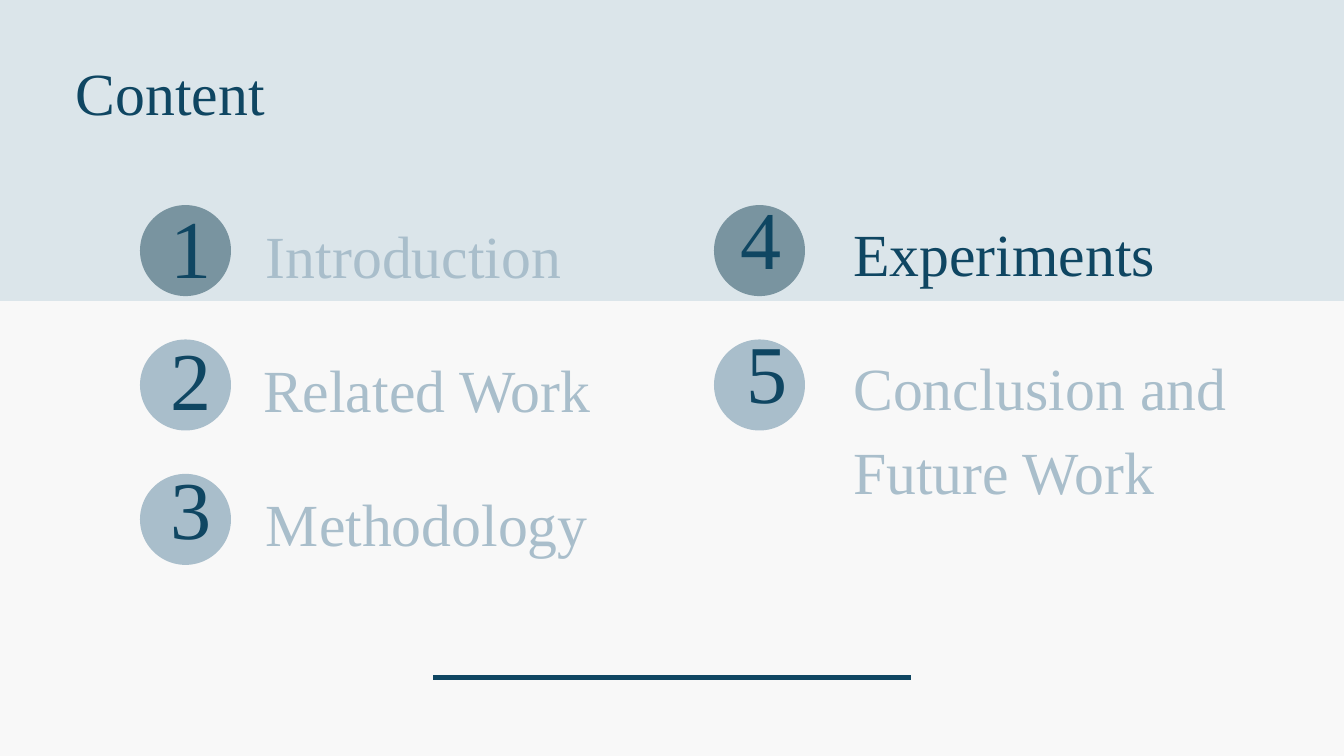
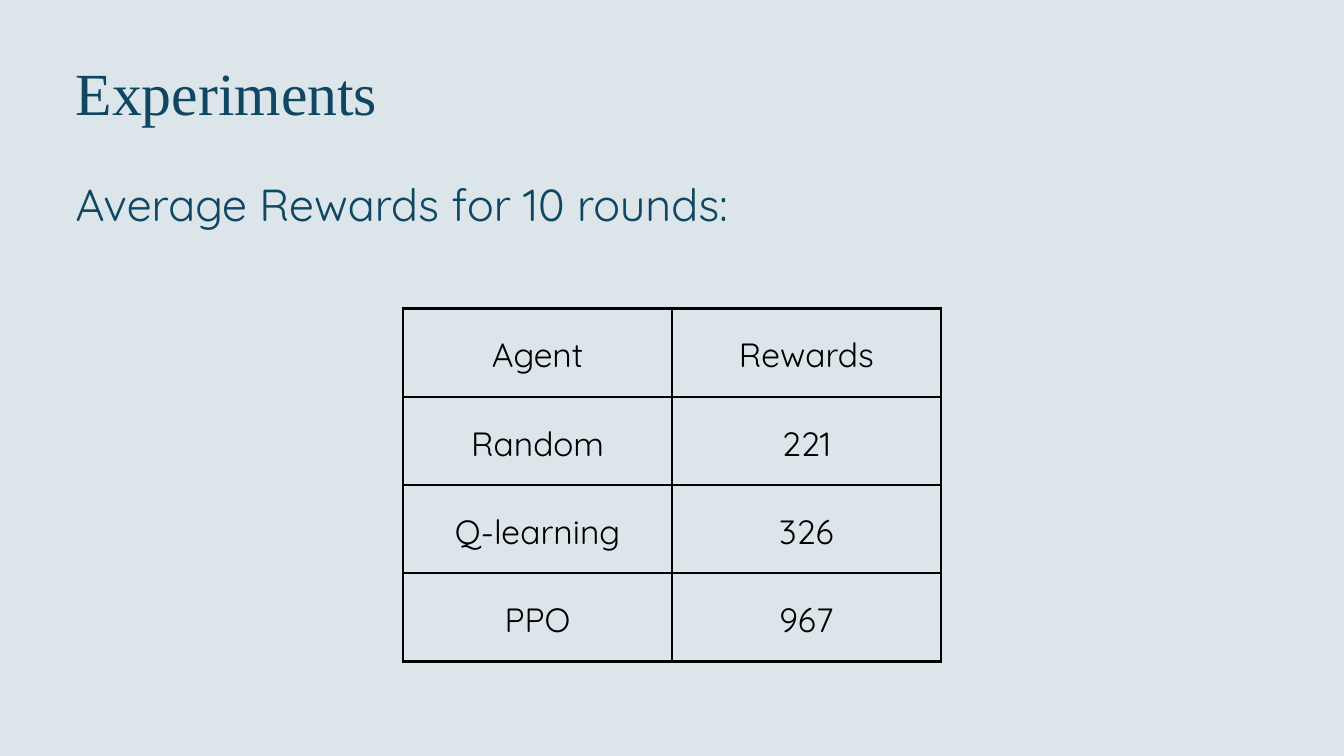
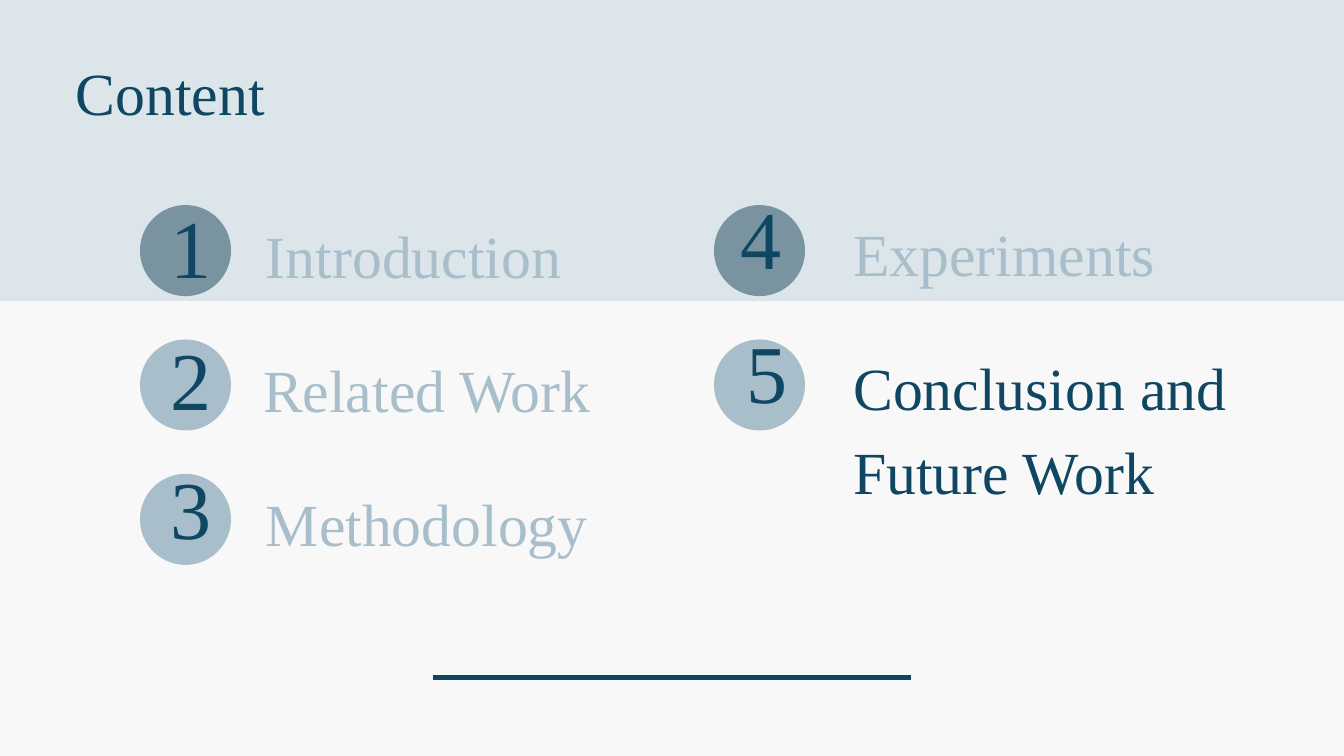
"""Build two agenda slides and a results table slide."""
import lxml.etree
import pptx
import pptx.dml.color
import pptx.enum.shapes
import pptx.enum.text
import pptx.oxml.ns
import pptx.util

RGB = pptx.dml.color.RGBColor
NAVY = RGB(0x0F, 0x46, 0x62)
MIST = RGB(0xDB, 0xE5, 0xEA)
PAPER = RGB(0xF8, 0xF8, 0xF8)
STEEL = RGB(0x79, 0x94, 0xA0)
HAZE = RGB(0xA9, 0xBE, 0xCB)
BLACK = RGB(0, 0, 0)
SERIF, SANS = "Times New Roman", "Quicksand"

# label, column, row, digit (x, y), label (x, width, height)
TOPICS = [
    ("Introduction", 0, 0, (244, 257), (380, 495, 114)),
    ("Related Work", 0, 1, (244, 445), (376, 495, 114)),
    ("Methodology", 0, 2, (244, 630), (380, 495, 114)),
    ("Experiments", 1, 0, (1058, 244), (1219, 495, 114)),
    ("Conclusion and Future Work", 1, 1, (1067, 435), (1219, 584, 233)),
]
REWARDS = [
    ("Agent", "Rewards"),
    ("Random", "221"),
    ("Q-learning", "326"),
    ("PPO", "967"),
]

WIDE, HIGH = 1920, 1080
LEFT = 108
BAND = 430
DISC = 130
DISC_X = (200, 1020)
DISC_Y, STEP = 293, 192
LABEL_DY = (2, -1)
RULE_X, RULE_Y = (619, 1301), 968
GRID = (576, 441, 768, 504)
PAD = 20


def px(*sizes):
    return [pptx.util.Emu(size * 9525) for size in sizes]


def write(frame, text, size=64, font=SERIF, color=NAVY, align="LEFT"):
    para = frame.paragraphs[0]
    para.text = text
    para.alignment = getattr(pptx.enum.text.PP_ALIGN, align)
    para.line_spacing = pptx.util.Pt(round(size * 1.4, 1))
    style = para.runs[0].font
    style.name, style.size = font, pptx.util.Pt(size)
    style.color.rgb = color


def fit(frame):
    frame.margin_left = frame.margin_right = 0
    frame.margin_top = frame.margin_bottom = 0
    frame.word_wrap = True
    frame.auto_size = pptx.enum.text.MSO_AUTO_SIZE.SHAPE_TO_FIT_TEXT
    frame.vertical_anchor = pptx.enum.text.MSO_ANCHOR.TOP


def label(slide, box, text, **look):
    frame = slide.shapes.add_textbox(*px(*box)).text_frame
    fit(frame)
    write(frame, text, **look)


def shape(slide, kind, box, color):
    part = slide.shapes.add_shape(
        getattr(pptx.enum.shapes.MSO_SHAPE, kind), *px(*box))
    part.shadow.inherit = False
    part.fill.solid()
    part.fill.fore_color.rgb = color
    part.line.fill.background()


def start(deck, color):
    slide = deck.slides.add_slide(deck.slide_layouts[5])
    slide.background.fill.solid()
    slide.background.fill.fore_color.rgb = color
    return slide


def head(slide, text):
    title = slide.shapes.title
    title.left, title.top, title.width, title.height = px(LEFT, 63, 1041, 114)
    fit(title.text_frame)
    write(title.text_frame, text)
    slide.shapes.element.append(title.element)


def rule(slide):
    line = slide.shapes.add_connector(
        pptx.enum.shapes.MSO_CONNECTOR.STRAIGHT,
        *px(RULE_X[0], RULE_Y, RULE_X[1], RULE_Y))
    line.line.color.rgb = NAVY
    line.line.width = pptx.util.Pt(6)
    lxml.etree.SubElement(line.element.spPr, pptx.oxml.ns.qn("a:effectLst"))


def agenda(deck, active):
    slide = start(deck, PAPER)
    shape(slide, "RECTANGLE", (0, 0, WIDE, BAND), MIST)
    head(slide, "Content")
    rule(slide)
    for number, topic in enumerate(TOPICS, 1):
        text, col, row, digit, (left, width, height) = topic
        top = DISC_Y + row * STEP
        shape(slide, "OVAL", (DISC_X[col], top, DISC, DISC),
              HAZE if row else STEEL)
        label(slide, (*digit, 67, 157), str(number), size=88)
        label(slide, (left, top + LABEL_DY[col], width, height), text,
              color=NAVY if text == active else HAZE)


def border(cell):
    props = cell._tc.get_or_add_tcPr()
    qn = pptx.oxml.ns.qn
    for side in "LRTB":
        line = lxml.etree.SubElement(
            props, qn("a:ln" + side), w=str(pptx.util.Pt(3)))
        fill = lxml.etree.SubElement(line, qn("a:solidFill"))
        lxml.etree.SubElement(fill, qn("a:srgbClr"), val=str(BLACK))


def results(deck):
    slide = start(deck, MIST)
    table = slide.shapes.add_table(
        len(REWARDS), len(REWARDS[0]), *px(*GRID)).table
    table.first_row = table.horz_banding = False
    for r, row in enumerate(REWARDS):
        for c, text in enumerate(row):
            cell = table.cell(r, c)
            border(cell)
            cell.fill.background()
            pad, = px(PAD)
            cell.margin_left = cell.margin_right = pad
            cell.margin_top = cell.margin_bottom = pad
            cell.vertical_anchor = pptx.enum.text.MSO_ANCHOR.MIDDLE
            write(cell.text_frame, text, size=36, font=SANS, color=BLACK,
                  align="CENTER")
    head(slide, "Experiments")
    label(slide, (LEFT, 240, 1016, 85), "Average Rewards for 10 rounds:",
          size=48, font=SANS)


def main():
    deck = pptx.Presentation()
    deck.slide_width, deck.slide_height = px(WIDE, HIGH)
    agenda(deck, "Experiments")
    results(deck)
    agenda(deck, "Conclusion and Future Work")
    deck.save("out.pptx")


if __name__ == "__main__":
    main()
